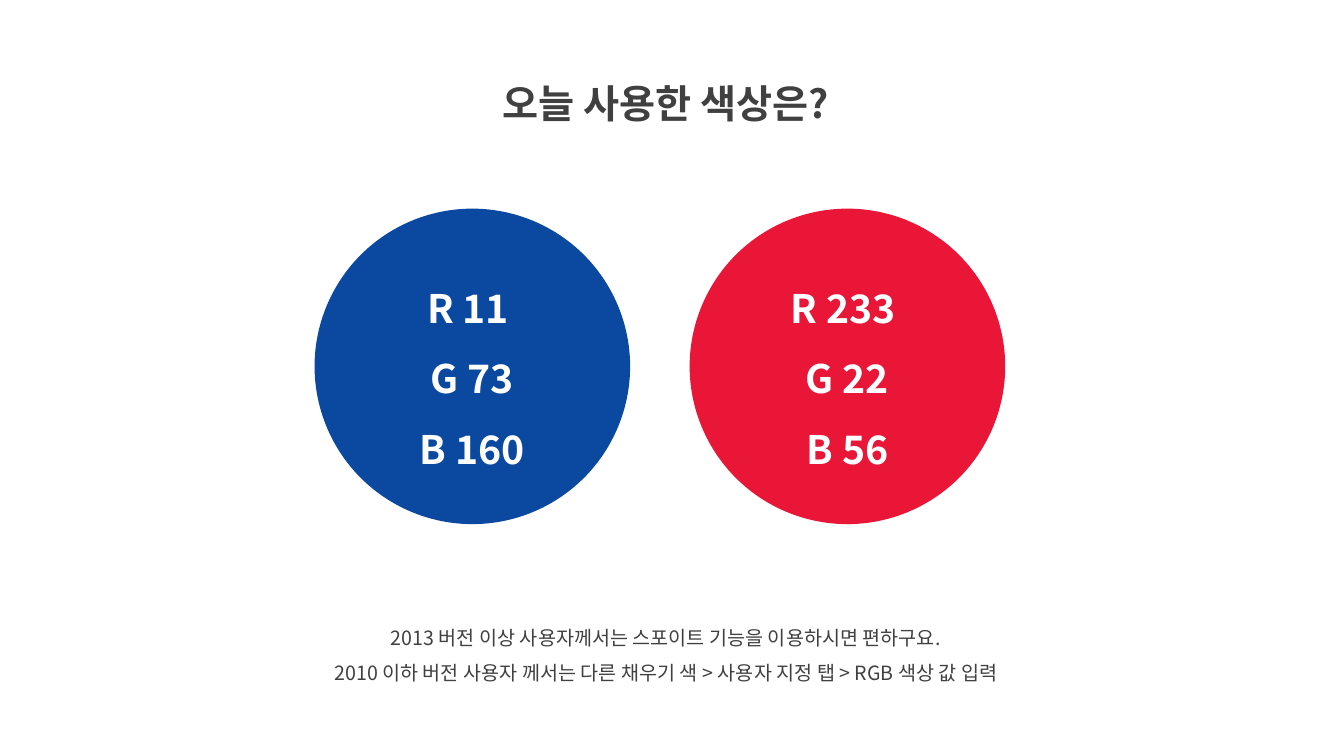
from pptx import Presentation
from pptx.dml.color import RGBColor
from pptx.enum.shapes import MSO_SHAPE
from pptx.enum.text import MSO_ANCHOR, MSO_AUTO_SIZE, PP_ALIGN
from pptx.oxml.ns import qn
from pptx.util import Inches, Pt
from lxml.etree import SubElement

FONT = "Noto Sans CJK KR"
GRAY, WHITE, BLUE, RED = "404040", "FFFFFF", "0B49A0", "E91638"


def color(value):
    """Turn a hex string into a colour."""
    return RGBColor.from_string(value)


def write(tf, text, size=14, fill=GRAY, bold=False):
    """Fill a text frame with centred lines, one paragraph each."""
    tf.word_wrap = True
    for i, line in enumerate(text.split("\n")):
        p = tf.add_paragraph() if i else tf.paragraphs[0]
        p.alignment, p.line_spacing = PP_ALIGN.CENTER, 1.5
        r = p.add_run()
        r.text = line
        r.font.name, r.font.size, r.font.bold = FONT, Pt(size), bold
        r.font.color.rgb = color(fill)
        SubElement(r.font._element, qn("a:ea")).set("typeface", FONT)


def add_text(s, box, text, **fmt):
    """Add a text box that grows with its text."""
    tf = s.shapes.add_textbox(*map(Inches, box)).text_frame
    write(tf, text, **fmt)
    tf.auto_size = MSO_AUTO_SIZE.SHAPE_TO_FIT_TEXT


def add_swatch(s, box, fill):
    """Add a colour circle labelled with its own RGB values."""
    sp = s.shapes.add_shape(MSO_SHAPE.OVAL, *map(Inches, box))
    sp.shadow.inherit = False
    sp.fill.solid()
    sp.fill.fore_color.rgb = color(fill)
    sp.line.fill.background()
    sp.text_frame.vertical_anchor = MSO_ANCHOR.MIDDLE
    red, green, blue = color(fill)
    write(sp.text_frame, f"R {red} \nG {green}\nB {blue}", size=28, fill=WHITE, bold=True)


def add_swatches(s, box, fills):
    """Spread square swatches evenly across the box."""
    left, top, width, size = box
    step = (width - size) / (len(fills) - 1)
    for i, fill in enumerate(fills):
        add_swatch(s, (left + i * step, top, size, size), fill)


def color_slide(prs):
    """Build the slide that lists the colours in use."""
    s = prs.slides.add_slide(prs.slide_layouts[6])
    add_text(s, (4.29, 0.5, 4.63, 0.72), "오늘 사용한 색상은?", size=28, bold=True)
    add_text(s, (2.61, 6.04, 7.99, 0.81),
             "2013 버전 이상 사용자께서는 스포이트 기능을 이용하시면 편하구요.\n"
             "2010 이하 버전 사용자 께서는 다른 채우기 색 > 사용자 지정 탭 > RGB 색상 값 입력")
    add_swatches(s, (3.12, 2.07, 6.85, 3.13), [BLUE, RED])


prs = Presentation()
prs.slide_width, prs.slide_height = Inches(13.33), Inches(7.5)
color_slide(prs)
prs.save("out.pptx")
